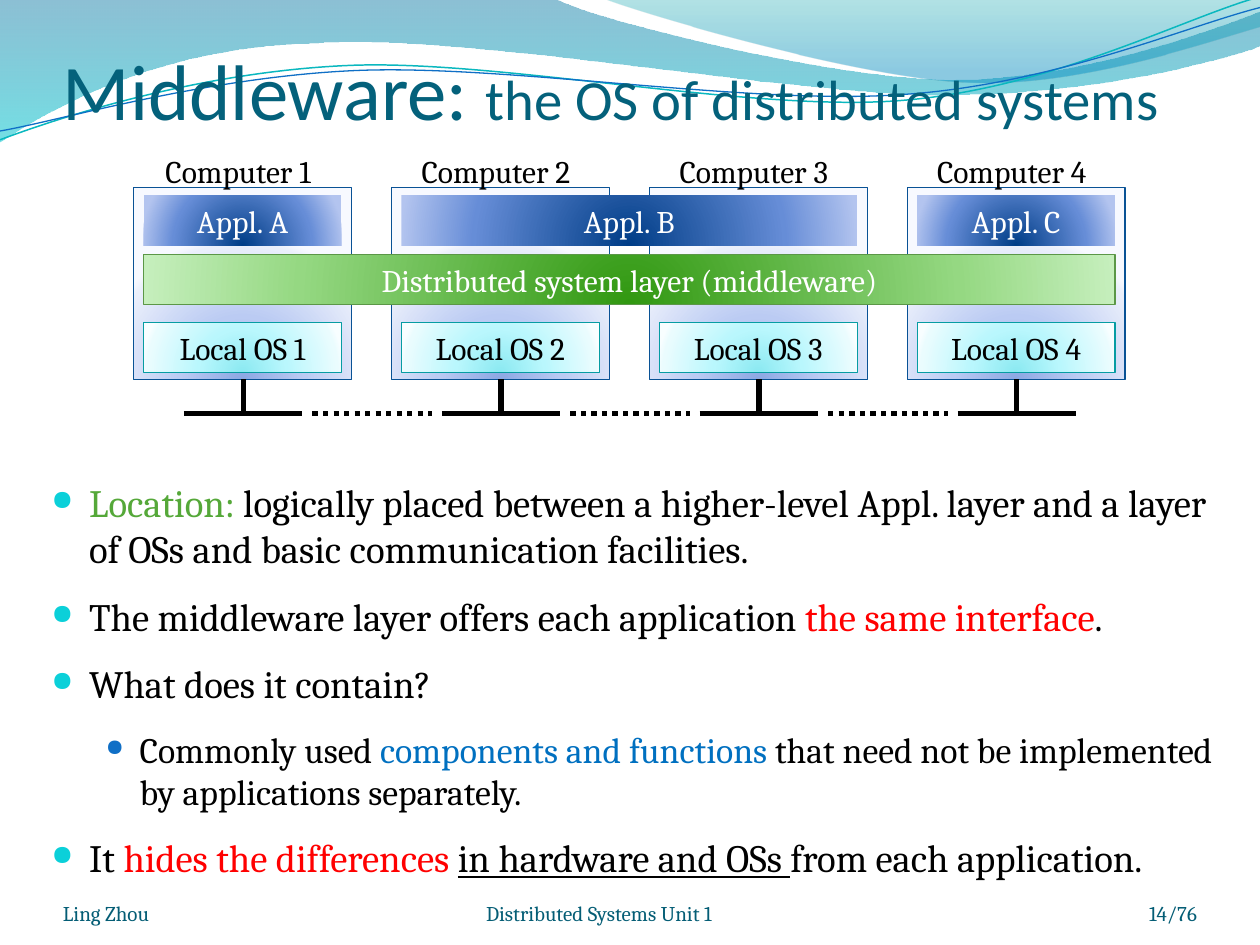
import lxml.etree
import pptx
import pptx.dml.color
import pptx.enum.dml
import pptx.enum.shapes
import pptx.enum.text
import pptx.oxml.ns
import pptx.util
from pptx.util import Inches

ALIGN = pptx.enum.text.PP_ALIGN
ANCHOR = pptx.enum.text.MSO_ANCHOR
qn = pptx.oxml.ns.qn

PANEL_STOPS = [(0, "8DA8E3"), (43, "BBCBF3"), (93, "EAEFFB"), (100, "F7F9FF")]
SYSTEM_STOPS = [(0, "8BE9F1"), (43, "B9F7FD"), (93, "EAFCFE"), (100, "F8FEFF")]
APPLICATION_STOPS = [(0, "003D87"), (68, "668DD7"), (100, "B3C4EF")]
MIDDLEWARE_STOPS = [(0, "319811"), (68, "95D882"), (100, "C6EFBD")]

# Wave segments in inches: one point is a line, three points are a cubic curve.
WAVE_FILLS = [
    ([[(0, 0)], [(4.4, -0.01)], [(4.76, 0.17), (6.64, 0.63), (7.58, 0.63)],
      [(8.53, 0.63), (9.58, 0.26), (10, 0.09)], [(10.01, 0.36)],
      [(9.83, 0.44), (8.7, 0.76), (7.46, 0.75)],
      [(6.22, 0.75), (3.82, 0.28), (2.57, 0.34)],
      [(1.29, 0.36), (0.46, 0.83), (-0.01, 1.13)]],
     [(0, "0074A1", 45), (100, "00C6CF", 55)]),
    ([[(4.79, -0.01)], [(5.09, 0.11), (6.82, 0.62), (7.69, 0.65)],
      [(8.56, 0.69), (9.61, 0.32), (10, 0.21)], [(10, 0)]],
     [(0, "00A1A9", 30), (80, "008BBF", 45)]),
]
WAVE_LINES = [
    ([[(0, 1.11)], [(0.48, 0.93), (1.58, 0.57), (2.77, 0.52)],
      [(3.95, 0.47), (5.93, 0.89), (7.13, 0.8)],
      [(8.33, 0.71), (9.38, 0.15), (9.98, -0.02)]], "0AB8BF", 0.85),
    ([[(0, 1.04)], [(0.47, 0.96), (1.64, 0.61), (2.83, 0.56)],
      [(4.03, 0.51), (5.97, 0.84), (7.17, 0.75)],
      [(8.36, 0.67), (9.41, 0.21), (10, 0.06)]], "0F6FC6", 0.75),
]


def color(hex_string):
    return pptx.dml.color.RGBColor.from_string(hex_string)


def add_node(parent, tag, **attributes):
    node = lxml.etree.SubElement(parent, qn(tag))
    for name, value in attributes.items():
        node.set(name, str(value))
    return node


def add_color_node(parent, hex_string, opacity=100):
    node = add_node(parent, "a:srgbClr", val=hex_string)
    if opacity < 100:
        add_node(node, "a:alpha", val=opacity * 1000)


def set_gradient(shape, stops, radial=True):
    """Fill with (percent, colour[, opacity]) stops, radial or top to bottom."""
    shape.fill.background()
    properties = shape.element.spPr
    gradient = lxml.etree.Element(qn("a:gradFill"), rotWithShape="1")
    stop_list = add_node(gradient, "a:gsLst")
    for position, *stop_color in stops:
        add_color_node(add_node(stop_list, "a:gs", pos=position * 1000), *stop_color)
    if radial:
        circle = add_node(gradient, "a:path", path="circle")
        add_node(circle, "a:fillToRect", l=50000, t=130000, r=50000, b=-30000)
    else:
        add_node(gradient, "a:lin", ang=5400000, scaled=1)
    properties.replace(properties.find(qn("a:noFill")), gradient)


def style_font(font, size, hex_string, name="Cambria"):
    font.size = pptx.util.Pt(size)
    font.name = name
    font.color.rgb = color(hex_string)


def add_text(slide, box, text, size, hex_string, align=ALIGN.LEFT,
             anchor=ANCHOR.TOP, margins=(0, 0, 0, 0), name="Cambria"):
    frame = slide.shapes.add_textbox(*map(Inches, box)).text_frame
    frame.word_wrap = True
    frame.vertical_anchor = anchor
    (frame.margin_left, frame.margin_top,
     frame.margin_right, frame.margin_bottom) = map(Inches, margins)
    paragraph = frame.paragraphs[0]
    paragraph.text = text
    paragraph.alignment = align
    style_font(paragraph.font, size, hex_string, name)
    return paragraph


def add_block(slide, box, stops, outline=None, text="", text_color="000000"):
    shape = slide.shapes.add_shape(pptx.enum.shapes.MSO_SHAPE.RECTANGLE, *map(Inches, box))
    set_gradient(shape, stops)
    if outline:
        shape.line.color.rgb = color(outline)
        shape.line.width = pptx.util.Pt(0.75)
    else:
        shape.line.fill.background()
    shape.shadow.inherit = False
    if text:
        paragraph = shape.text_frame.paragraphs[0]
        paragraph.text = text
        paragraph.alignment = ALIGN.CENTER
        style_font(paragraph.font, 18, text_color)


def add_cable(slide, start, end, dotted=False):
    cable = slide.shapes.add_connector(pptx.enum.shapes.MSO_CONNECTOR.STRAIGHT,
                                       *map(Inches, start + end))
    cable.line.color.rgb = color("000000")
    cable.line.width = pptx.util.Pt(3)
    if dotted:
        cable.line.dash_style = pptx.enum.dml.MSO_LINE.ROUND_DOT
    add_node(cable.element.spPr, "a:effectLst")


def add_wave(slide, left, top, segments, closed):
    """Outline all points as lines, then join each three-point segment into a curve."""
    start, *points = [(Inches(left + x), Inches(top + y))
                      for segment in segments for x, y in segment]
    builder = slide.shapes.build_freeform(*start)
    builder.add_line_segments(points, close=closed)
    wave = builder.convert_to_shape()
    wave.shadow.inherit = False
    lines = iter(list(wave.element.spPr.iter(qn("a:lnTo"))))
    for segment in segments[1:]:
        parts = [next(lines) for _ in segment]
        if len(parts) == 3:
            curve = lxml.etree.Element(qn("a:cubicBezTo"))
            parts[0].addprevious(curve)
            for part in parts:
                curve.append(part[0])
                part.getparent().remove(part)
    return wave


def draw_waves(slide, left, top):
    for segments, stops in WAVE_FILLS:
        wave = add_wave(slide, left, top, segments, True)
        set_gradient(wave, stops, radial=False)
        wave.line.fill.background()
    for segments, hex_string, width in WAVE_LINES:
        wave = add_wave(slide, left, top, segments, False)
        wave.fill.background()
        wave.line.color.rgb = color(hex_string)
        wave.line.width = pptx.util.Pt(width)


def draw_computer(slide, left, top, number):
    middle, bus = left + 0.87, top + 2.12
    add_block(slide, (left, top + 0.33, 1.73, 1.52), PANEL_STOPS, "095295")
    add_cable(slide, (middle, top + 1.85), (middle, bus))
    add_cable(slide, (left + 0.4, bus), (left + 1.34, bus))
    add_text(slide, (left + 0.08, top, 1.5, 0.4), f"Computer {number}", 18, "000000",
             ALIGN.CENTER, margins=(0.1, 0.05, 0.1, 0.05))
    add_block(slide, (left + 0.08, top + 1.4, 1.57, 0.4), SYSTEM_STOPS,
              "069CA3", f"Local OS {number}")


def draw_network(slide, left, top, width, count=4):
    pitch = (width - 1.73) / (count - 1)
    for index in range(count):
        draw_computer(slide, left + index * pitch, top, index + 1)
    for index in range(count - 1):
        start = left + 1.42 + index * pitch
        add_cable(slide, (start, top + 2.12), (start + 0.95, top + 2.12), dotted=True)
    for text, first, span in (("Appl. A", 0, 0), ("Appl. B", 1, 1), ("Appl. C", 3, 0)):
        box = (left + 0.08 + first * pitch, top + 0.39, 1.57 + span * pitch, 0.4)
        add_block(slide, box, APPLICATION_STOPS, None, text, "FFFFFF")
    add_block(slide, (left + 0.08, top + 0.86, width - 0.16, 0.4), MIDDLEWARE_STOPS,
              "5B9747", "Distributed system layer (middleware)", "FFFFFF")


def draw_title(slide, box):
    paragraph = add_text(slide, box, "Middleware: ", 45, "04617B", anchor=ANCHOR.BOTTOM,
                         margins=(0, 0.05, 0, 0), name="Calibri")
    subtitle = paragraph.add_run()
    subtitle.text = "the OS of distributed systems"
    subtitle.font.size = pptx.util.Pt(32.4)


def draw_bullets(slide, box):
    # Each run is text, colour (None for black) and whether it is underlined.
    bullets = [
        (0, [("Location: ", "55A839"), ("logically placed between a higher-level Appl. layer "
             "and a layer of OSs and basic communication facilities.",)]),
        (0, [("The middleware layer offers each application ",),
             ("the same interface", "FF0000"), (".",)]),
        (0, [("What does it contain?",)]),
        (1, [("Commonly used ",), ("components and functions ", "0070C0"),
             ("that need not be implemented by applications separately.",)]),
        (0, [("It ",), ("hides the differences ", "FF0000"),
             ("in hardware and OSs ", None, True), ("from each application.",)]),
    ]
    levels = [(0.3, -0.3, "0BD0D9", 72, 22.1), (0.7, -0.27, "0F6FC6", 65, 20.4)]
    frame = slide.shapes.add_textbox(*map(Inches, box)).text_frame
    frame.word_wrap = True
    for index, (level, runs) in enumerate(bullets):
        paragraph = frame.add_paragraph() if index else frame.paragraphs[0]
        margin, indent, bullet_color, bullet_size, size = levels[level]
        paragraph.level = level
        if index:
            paragraph.space_before = pptx.util.Pt(12)
        properties = paragraph._p.get_or_add_pPr()
        properties.set("marL", str(Inches(margin)))
        properties.set("indent", str(Inches(indent)))
        add_color_node(add_node(properties, "a:buClr"), bullet_color)
        add_node(properties, "a:buSzPct", val=bullet_size * 1000)
        add_node(properties, "a:buChar", char="●")
        style_font(paragraph.font, size, "000000")
        for text, *style in runs:
            run = paragraph.add_run()
            run.text = text
            if style and style[0]:
                run.font.color.rgb = color(style[0])
            if len(style) > 1:
                run.font.underline = True


def draw_footer(slide, top, height):
    for left, width, text, align in ((0.5, 2.33, "Ling Zhou", ALIGN.LEFT),
                                     (2.92, 3.67, "Distributed Systems Unit 1", ALIGN.CENTER),
                                     (8.67, 0.83, "14/76", ALIGN.RIGHT)):
        add_text(slide, (left, top, width, height), text, 12, "045D75", align, ANCHOR.BOTTOM)


def main():
    presentation = pptx.Presentation()
    presentation.slide_width, presentation.slide_height = Inches(10), Inches(7.5)
    slide = presentation.slides.add_slide(presentation.slide_layouts[6])
    draw_waves(slide, 0, 0)
    draw_network(slide, 1.06, 1.16, 7.87)
    draw_title(slide, (0.5, 0.21, 9, 0.87))
    draw_bullets(slide, (0.31, 3.75, 9.5, 3.39))
    draw_footer(slide, 6.95, 0.4)
    presentation.save("out.pptx")


if __name__ == "__main__":
    main()
